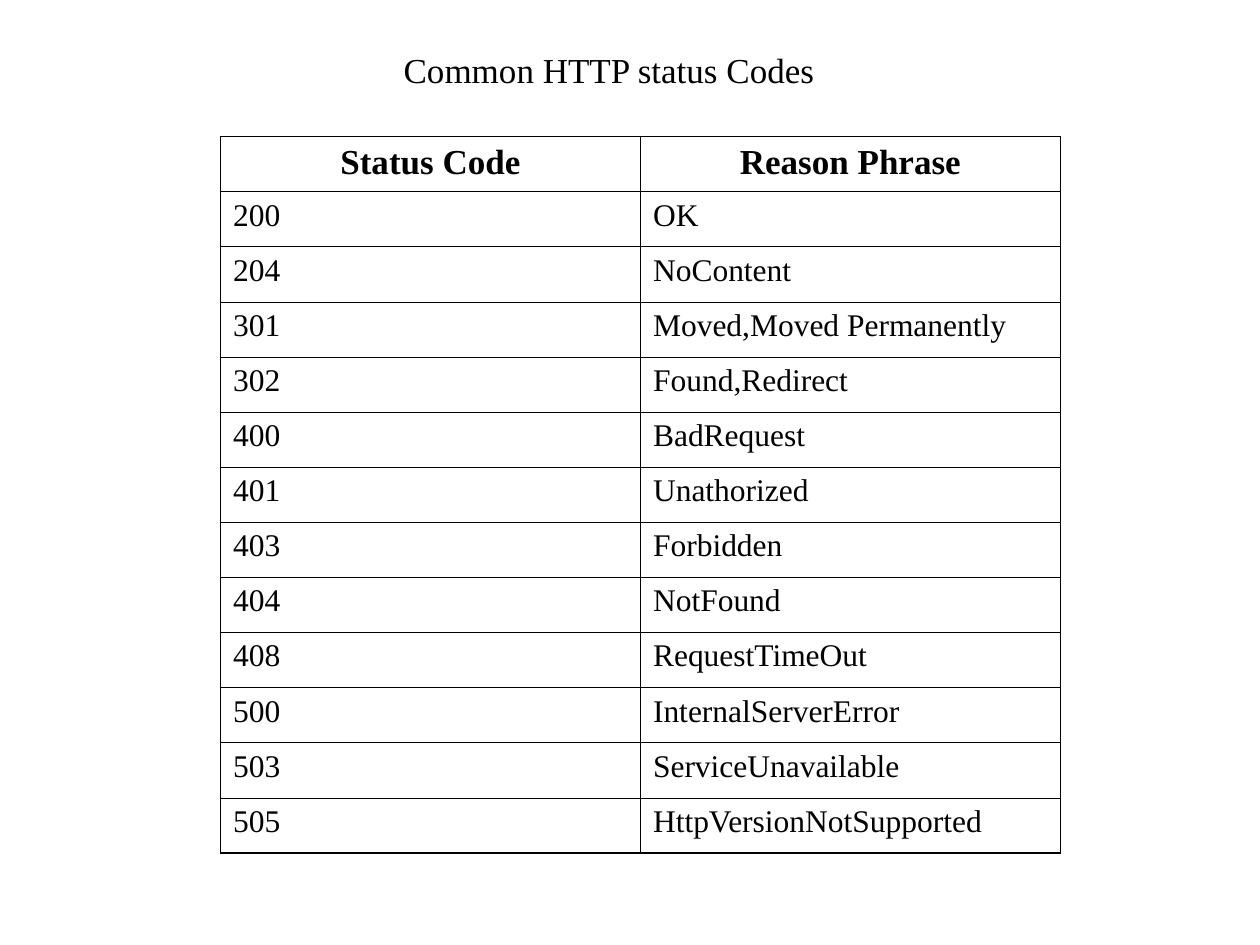
"""Build a slide with a table of common HTTP status codes."""
from lxml import etree
from pptx import Presentation
from pptx.dml import color
from pptx.enum import text
from pptx.oxml import ns
from pptx.util import Pt

COLORS = {"ink": "000000"}
FONT = "Times New Roman"
THIN, THICK = 0.45, 1.08
ROW_HEIGHT = 31.5
COLUMN_WIDTH = 240
HEADINGS = ("Status Code", "Reason Phrase")
STATUSES = [
    ("200", "OK"),
    ("204", "NoContent"),
    ("301", "Moved,Moved Permanently"),
    ("302", "Found,Redirect"),
    ("400", "BadRequest"),
    ("401", "Unathorized"),
    ("403", "Forbidden"),
    ("404", "NotFound"),
    ("408", "RequestTimeOut"),
    ("500", "InternalServerError"),
    ("503", "ServiceUnavailable"),
    ("505", "HttpVersionNotSupported"),
]


def write(frame, words, size, bold=False, centered=False):
    paragraph = frame.paragraphs[0]
    paragraph.text = words
    paragraph.alignment = text.PP_ALIGN.CENTER if centered else text.PP_ALIGN.LEFT
    paragraph.font.name = FONT
    paragraph.font.size = Pt(size)
    paragraph.font.bold = bold
    paragraph.font.color.rgb = color.RGBColor.from_string(COLORS["ink"])


def add_border(cell, side, width):
    properties = cell._tc.get_or_add_tcPr()
    line = etree.SubElement(properties, ns.qn(f"a:ln{side}"), w=str(Pt(width)))
    fill = etree.SubElement(line, ns.qn("a:solidFill"))
    etree.SubElement(fill, ns.qn("a:srgbClr"), val=COLORS["ink"])


def add_title(slide, words):
    box = slide.shapes.add_textbox(Pt(36), Pt(24), Pt(624), Pt(31.5))
    box.text_frame.word_wrap = True
    write(box.text_frame, words, 20, centered=True)


def add_status_table(slide, rows):
    row_count, column_count = len(rows), len(rows[0])
    frame = slide.shapes.add_table(
        row_count, column_count, Pt(126), Pt(78),
        Pt(COLUMN_WIDTH * column_count), Pt(ROW_HEIGHT * row_count))
    table = frame.table
    table.horz_banding = False
    for row_index, row in enumerate(rows):
        table.rows[row_index].height = Pt(ROW_HEIGHT)
        heading = row_index == 0
        for column_index, words in enumerate(row):
            cell = table.cell(row_index, column_index)
            outer_edges = {
                "L": column_index == 0,
                "R": column_index == column_count - 1,
                "T": heading,
                "B": row_index == row_count - 1,
            }
            for side, outer in outer_edges.items():
                add_border(cell, side, THICK if outer else THIN)
            cell.fill.background()
            write(cell.text_frame, words, 20 if heading else 18, heading, heading)


def main():
    presentation = Presentation()
    presentation.slide_width, presentation.slide_height = Pt(720), Pt(540)
    slide = presentation.slides.add_slide(presentation.slide_layouts[6])
    add_title(slide, "Common HTTP status Codes")
    add_status_table(slide, [HEADINGS, *STATUSES])
    presentation.save("out.pptx")


if __name__ == "__main__":
    main()
